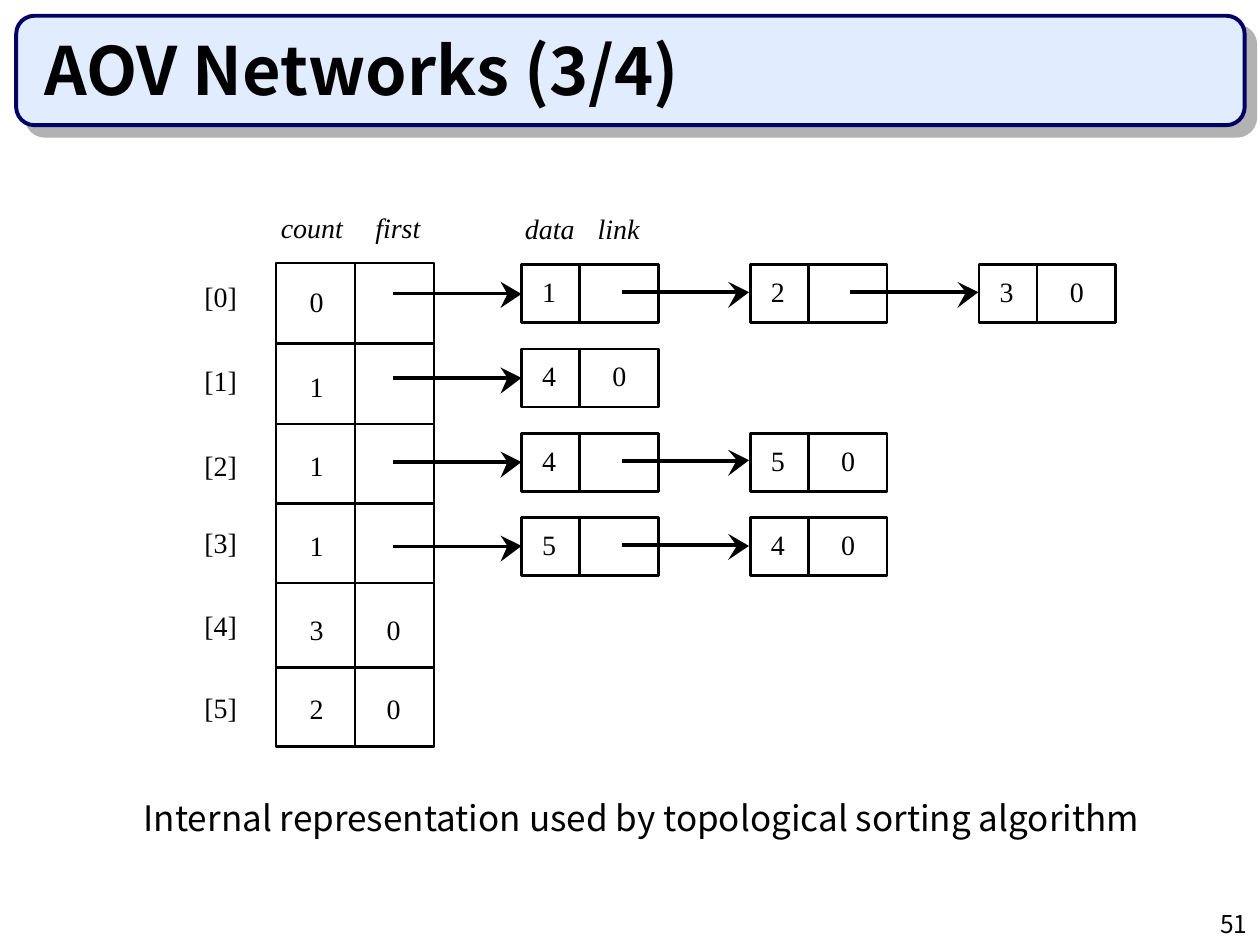
from lxml.etree import SubElement
from pptx import Presentation
from pptx.dml.color import RGBColor
from pptx.enum.shapes import MSO_CONNECTOR as Connector, MSO_SHAPE as Shape
from pptx.enum.text import MSO_ANCHOR as Anchor, MSO_AUTO_SIZE as AutoSize, PP_ALIGN as Align
from pptx.oxml.ns import qn
from pptx.util import Pt

# Content
TITLE = "AOV Networks (3/4)"
CAPTION = "Internal representation used by topological sorting algorithm"
PAGE = "51"
COUNTS = [0, 1, 1, 1, 3, 2]
LISTS = [[1, 2, 3], [4], [4, 5], [5, 4], [], []]
HEADINGS = [("count", 160.5, 120.25), ("first", 214.5, 120.25),
            ("data", 300, 121), ("link", 341.5, 121)]

# Theme
SANS, SERIF = "Noto Sans CJK KR", "Times New Roman"
BLACK, WHITE = RGBColor(0, 0, 0), RGBColor(255, 255, 255)
THEME = {
    "banner": {"fill": RGBColor(0xE1, 0xEC, 0xFF), "line": RGBColor(0, 0, 0x66), "weight": 2.25},
    "cell": {"fill": None, "line": BLACK, "weight": 1.5},
    "node": {"fill": WHITE, "line": BLACK, "weight": 1.5},
    "title": {"name": SANS, "size": Pt(38), "bold": True},
    "caption": {"name": SANS, "size": Pt(20)},
    "page": {"name": SANS, "size": Pt(14)},
    "value": {"name": SERIF, "size": Pt(16)},
    "heading": {"name": SERIF, "size": Pt(16), "italic": True},
}
SHADOW = "B2B2B2"

# Layout, in points
ROW_HEIGHTS = [46, 46, 45.5, 45.5, 48, 45.5]
ROW_TOP, COUNT_LEFT, CELL_W = 150.25, 157.75, 45.1
INDEX_LEFT, INDEX_TOPS = 116.75, [160, 208, 256.5, 300.5, 348, 394.5]
VALUE_TOPS = [162.75, 211, 256.5, 301.75, 350, 395.25]
NODE_LEFT, NODE_TOP, NODE_STEP_X, NODE_STEP_Y = 298, 151.2, 130.7, 48.2
DATA_W, LINK_W, NODE_H = 33.25, 45, 33.25
HEADING_W, INDEX_W, DIGIT_W, TEXT_H = 40, 22, 10, 19.25
ARROW_REACH, SHAFT = 73, 68
HEAD = [(-12, 8.75), (0, 0), (-12, -6.25), (-7, 0)]


def points(*lengths):
    return [Pt(length) for length in lengths]


def style_text(frame, text, role, align=Align.LEFT):
    paragraph = frame.paragraphs[0]
    paragraph.text, paragraph.alignment = str(text), align
    for key, value in THEME[role].items():
        setattr(paragraph.font, key, value)
    paragraph.font.color.rgb = BLACK


def add_text(text, left, top, width, height=TEXT_H, role="value", align=Align.LEFT,
             inset=(0, 0)):
    frame = slide.shapes.add_textbox(*points(left, top, width, height)).text_frame
    across, down = points(*inset)
    layout = {"margin_left": across, "margin_right": across, "margin_top": down,
              "margin_bottom": down, "word_wrap": True}
    for key, value in layout.items():
        setattr(frame, key, value)
    style_text(frame, text, role, align)


def add_box(left, top, width, height, role, preset=Shape.RECTANGLE):
    look = THEME[role]
    box = slide.shapes.add_shape(preset, *points(left, top, width, height))
    box.shadow.inherit = False
    if look["fill"] is None:
        box.fill.background()
    else:
        box.fill.solid()
        box.fill.fore_color.rgb = look["fill"]
    box.line.color.rgb, box.line.width = look["line"], Pt(look["weight"])
    return box


def add_arrow(tip, y):
    """Draw a shaft and a barbed head ending at (tip, y)."""
    start = tip - ARROW_REACH
    shaft = slide.shapes.add_connector(Connector.STRAIGHT, *points(start, y, start + SHAFT, y))
    shaft.line.color.rgb, shaft.line.width = BLACK, Pt(2)
    SubElement(shaft._element.spPr, qn("a:effectLst"))

    first, *rest = [(tip + dx, y + dy) for dx, dy in HEAD]
    outline = slide.shapes.build_freeform(*first, scale=Pt(1))
    outline.add_line_segments(rest, close=True)
    head = outline.convert_to_shape()
    head.shadow.inherit = False
    head.fill.solid()
    head.fill.fore_color.rgb = BLACK
    head.line.fill.background()


deck = Presentation()
deck.slide_width, deck.slide_height = points(720, 540)
slide = deck.slides.add_slide(deck.slide_layouts[5])

# Title banner with its hard shadow, behind the title
banner = add_box(9.25, 9, 702, 62.5, "banner", Shape.ROUNDED_RECTANGLE)
effects = banner._element.spPr.find(qn("a:effectLst"))
shadow = SubElement(effects, qn("a:outerShdw"), dist=str(Pt(8.5)), dir="2700000",
                    algn="ctr", rotWithShape="0")
SubElement(shadow, qn("a:srgbClr"), val=SHADOW)
slide.shapes._spTree.insert(2, banner._element)

title = slide.shapes.title
title.left, title.top, title.width, title.height = points(18, 18, 678, 48)
title.text_frame.auto_size = AutoSize.NONE
title.text_frame.vertical_anchor = Anchor.BOTTOM
style_text(title.text_frame, TITLE, "title")

# Column headings
for text, left, top in HEADINGS:
    add_text(text, left, top, HEADING_W, role="heading")

# Vertex table and its linked lists
for row, (count, chain) in enumerate(zip(COUNTS, LISTS)):
    top = ROW_TOP + sum(ROW_HEIGHTS[:row])
    for column in range(2):
        add_box(COUNT_LEFT + column * CELL_W, top, CELL_W, ROW_HEIGHTS[row], "cell")
    add_text(f"[{row}]", INDEX_LEFT, INDEX_TOPS[row], INDEX_W)
    add_text(count, 177, VALUE_TOPS[row], DIGIT_W)

    node_top = NODE_TOP + row * NODE_STEP_Y
    for position, data in enumerate(chain):
        left = NODE_LEFT + position * NODE_STEP_X
        add_box(left, node_top, DATA_W, NODE_H, "node")
        add_box(left + DATA_W, node_top, LINK_W, NODE_H, "node")
        add_text(data, left + 11.75, node_top + 5.75, DIGIT_W)

    # A zero ends every list, in the first column when the list is empty
    if chain:
        add_text(0, left + 52, node_top + 5.75, DIGIT_W)
    else:
        add_text(0, 221, VALUE_TOPS[row], DIGIT_W)

    # Arrows come last so that they lie over the boxes they leave
    for position in range(len(chain)):
        arrow_y = node_top + (16.5 if position == 0 else 15.75)
        add_arrow(NODE_LEFT + position * NODE_STEP_X - 0.5, arrow_y)

# Caption and page number
add_text(CAPTION, 75, 451.5, 600, 31.5, "caption", inset=(7.2, 3.6))
add_text(PAGE, 570, 516, 150, 24, "page", Align.RIGHT, inset=(7.2, 3.6))

deck.save("out.pptx")
